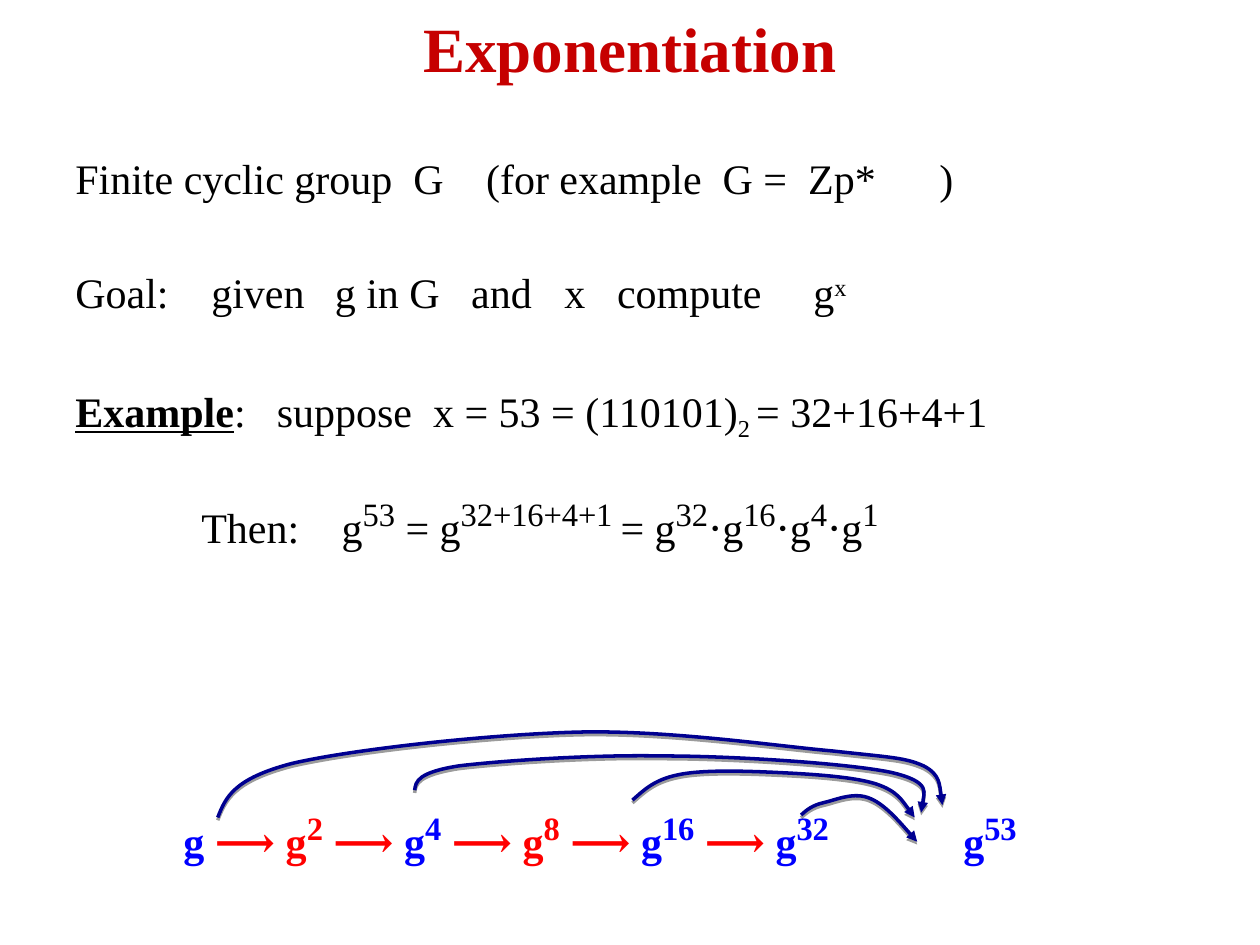
"""Build the slide on fast exponentiation in a cyclic group."""
from dataclasses import dataclass
from itertools import chain

from lxml import etree
from pptx import Presentation
from pptx import util as u
from pptx.dml.color import RGBColor
from pptx.enum import text as t
from pptx.oxml.ns import qn


@dataclass(frozen=True)
class Theme:
    font: str = "Times New Roman"
    head: str = "C60000"
    ink: str = "000000"
    blue: str = "0000FF"
    red: str = "FF0000"
    line: str = "000090"
    title: int = 36
    body: int = 24
    power: int = 32


@dataclass(frozen=True)
class Run:
    text: str
    color: str | None = None
    size: int | None = None
    base: int = 0
    mark: bool = False


@dataclass(frozen=True)
class Line:
    runs: list[Run]
    tabs: tuple[float, ...] = ()
    gap: float = 0
    pitch: float = 1
    size: int = 24
    color: str = "000000"
    bold: bool = False
    align: t.PP_ALIGN = t.PP_ALIGN.LEFT


@dataclass(frozen=True)
class Box:
    left: float
    top: float
    width: float
    height: float
    lines: list[Line]
    anchor: t.MSO_ANCHOR = t.MSO_ANCHOR.TOP


Point = tuple[float, float]
LOOK = Theme()


def sup(word: str, color: str | None = None) -> Run:
    return Run(word, color, LOOK.power, 30000)


def term(power: str, color: str) -> list[Run]:
    return [Run("g", color), sup(power, color)]


def put_run(par, run: Run) -> None:
    item = par.add_run()
    item.text = run.text
    if run.color:
        item.font.color.rgb = RGBColor.from_string(run.color)
    if run.size:
        item.font.size = u.Pt(run.size)
    if run.mark:
        item.font.bold = item.font.underline = True
    if run.base:
        item.font._element.set("baseline", str(run.base))


def put_line(par, line: Line) -> None:
    par.alignment, par.line_spacing = line.align, line.pitch
    if line.gap:
        par.space_before = u.Pt(line.gap)
    if line.tabs:
        stops = etree.SubElement(par._p.get_or_add_pPr(), qn("a:tabLst"))
        for pos in line.tabs:
            etree.SubElement(stops, qn("a:tab"), pos=str(u.Cm(pos)), algn="l")
    font = par.font
    font.name, font.size, font.bold = LOOK.font, u.Pt(line.size), line.bold
    font.color.rgb = RGBColor.from_string(line.color)
    for run in line.runs:
        put_run(par, run)


def put_box(slide, box: Box) -> None:
    area = map(u.Cm, (box.left, box.top, box.width, box.height))
    frame = slide.shapes.add_textbox(*area).text_frame
    frame.word_wrap, frame.vertical_anchor = True, box.anchor
    for num, line in enumerate(box.lines):
        put_line(frame.add_paragraph() if num else frame.paragraphs[0], line)


def put_curve(slide, points: list[Point]) -> None:
    start, *rest = [(u.Cm(x), u.Cm(y)) for x, y in points + points[-1:]]
    pen = slide.shapes.build_freeform(*start)
    pen.add_line_segments(rest, close=False)
    shape = pen.convert_to_shape()
    steps = list(shape._element.iter(qn("a:lnTo")))
    for num in range(0, len(steps), 3):
        bend = etree.SubElement(steps[num].getparent(), qn("a:cubicBezTo"))
        for step in steps[num:num + 3]:
            bend.append(step[0])
            step.getparent().remove(step)
    shape.fill.background()
    shape.line.color.rgb = RGBColor.from_string(LOOK.line)
    shape.line.width = u.Pt(2)
    etree.SubElement(shape.line._get_or_add_ln(), qn("a:tailEnd"), type="triangle")
    shape.shadow.inherit = False
    glow = etree.SubElement(shape._element.spPr.find(qn("a:effectLst")), qn("a:outerShdw"),
                            blurRad="0", dist=str(u.Pt(1.6)), dir="5400000", rotWithShape="0")
    tint = etree.SubElement(glow, qn("a:srgbClr"), val=LOOK.ink)
    etree.SubElement(tint, qn("a:alpha"), val="38000")


PROD = list(chain.from_iterable(
    [Run("⋅g" if num else "= g"), sup(power)]
    for num, power in enumerate(("32", "16", "4", "1"))))

CHAIN = [Run("g", LOOK.blue)]
for power in ("2", "4", "8", "16", "32"):
    hue = LOOK.red if power in ("2", "8") else LOOK.blue
    CHAIN += [Run(" ⟶ ", LOOK.red), *term(power, hue)]
CHAIN += [Run("\t"), *term("53", LOOK.blue)]

BOXES = [
    Box(1.27, -0.64, 22.86, 3.18, [
        Line([Run("Exponentiation")], size=LOOK.title, color=LOOK.head,
             bold=True, align=t.PP_ALIGN.CENTER)], t.MSO_ANCHOR.MIDDLE),
    Box(1.27, 3.02, 22.86, 11.86, [
        Line([Run("Finite cyclic group  G\t(for example  G =  Zp*\t)")],
             (8.28, 17.42), pitch=0.95),
        Line([Run("Goal:\tgiven\tg in G\tand\tx\tcompute\tg"), Run("x", base=30000)],
             (2.74, 5.23, 7.98, 9.86, 10.92, 14.88), 38.2, 0.95),
        Line([Run("Example", mark=True), Run(":\tsuppose  x = 53 = (110101)"),
              Run("2 ", base=-25000), Run("= 32+16+4+1")],
             (4.06,), 38.2, 0.95),
        Line([Run("\tThen:\tg"), sup("53"), Run(" = g"), sup("32+16+4+1 "), *PROD],
             (2.54, 5.37), 29.8, 0.95)]),
    Box(3.45, 16.03, 18.2, 1.63, [
        Line(CHAIN, (15.72,), color=LOOK.blue, bold=True)]),
]

CURVES: list[list[Point]] = [
    [(4.39, 16.48), (4.55, 16.08), (4.7, 15.7), (5.89, 15.39), (7.09, 15.11),
     (9.8, 14.81), (11.61, 14.76), (13.44, 14.71), (15.65, 15.04), (16.79, 15.14),
     (17.96, 15.27), (18.24, 15.27), (18.62, 15.44), (18.97, 15.62), (19, 16.23)],
    [(8.36, 15.93), (8.38, 15.75), (8.43, 15.57), (9.25, 15.44), (10.08, 15.34),
     (11.91, 15.21), (13.36, 15.24), (14.81, 15.24), (17.09, 15.39), (17.96, 15.57),
     (18.82, 15.77), (18.57, 16.38)],
    [(12.75, 16.13), (12.98, 15.93), (13.18, 15.72), (13.67, 15.62), (14.12, 15.52),
     (14.94, 15.54), (15.6, 15.57), (16.26, 15.6), (17.17, 15.65), (17.65, 15.8),
     (18.11, 15.95), (18.44, 16.48)],
    [(16.15, 16.43), (16.26, 16.33), (16.38, 16.23), (16.61, 16.18), (16.84, 16.13),
     (17.22, 15.95), (17.55, 16.1), (17.86, 16.23), (18.49, 16.97)],
]


def main() -> None:
    deck = Presentation()
    deck.slide_width, deck.slide_height = u.Cm(25.4), u.Cm(19.05)
    slide = deck.slides.add_slide(deck.slide_layouts[6])
    for box in BOXES:
        put_box(slide, box)
    for curve in CURVES:
        put_curve(slide, curve)
    deck.save("out.pptx")


if __name__ == "__main__":
    main()
